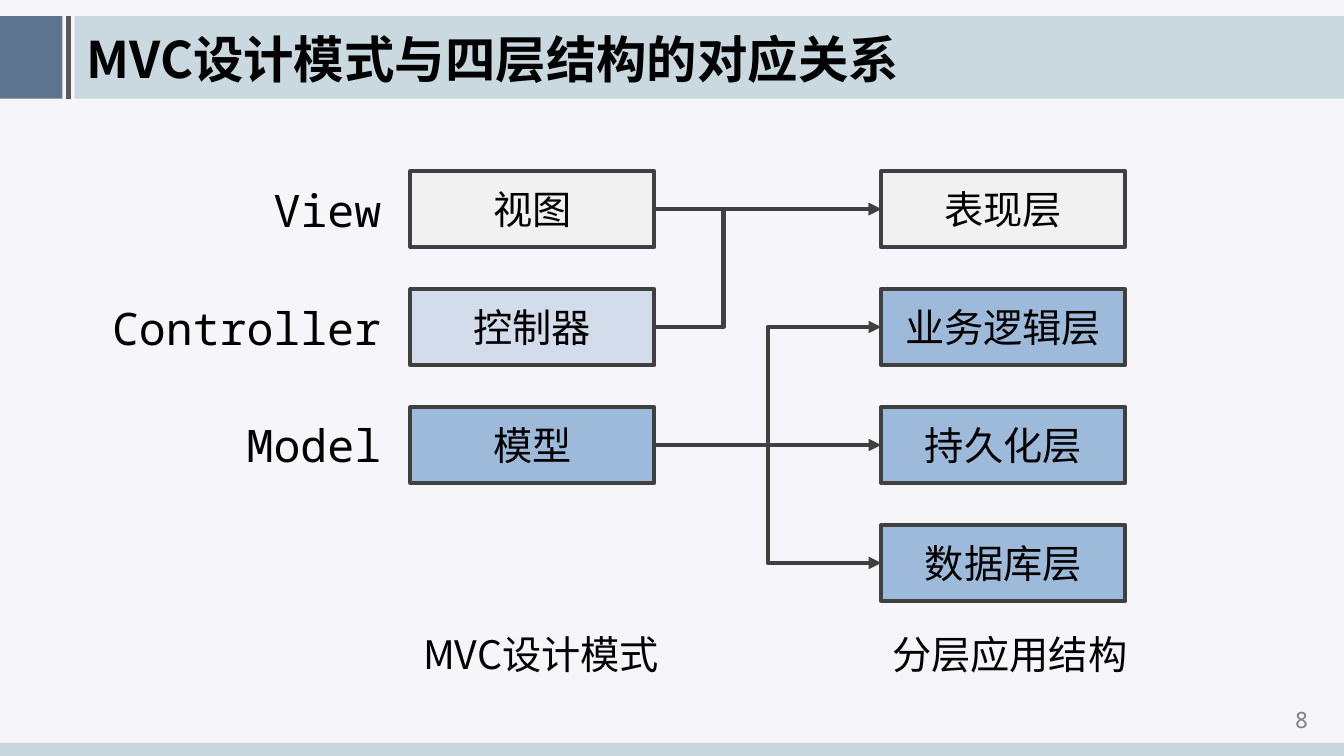
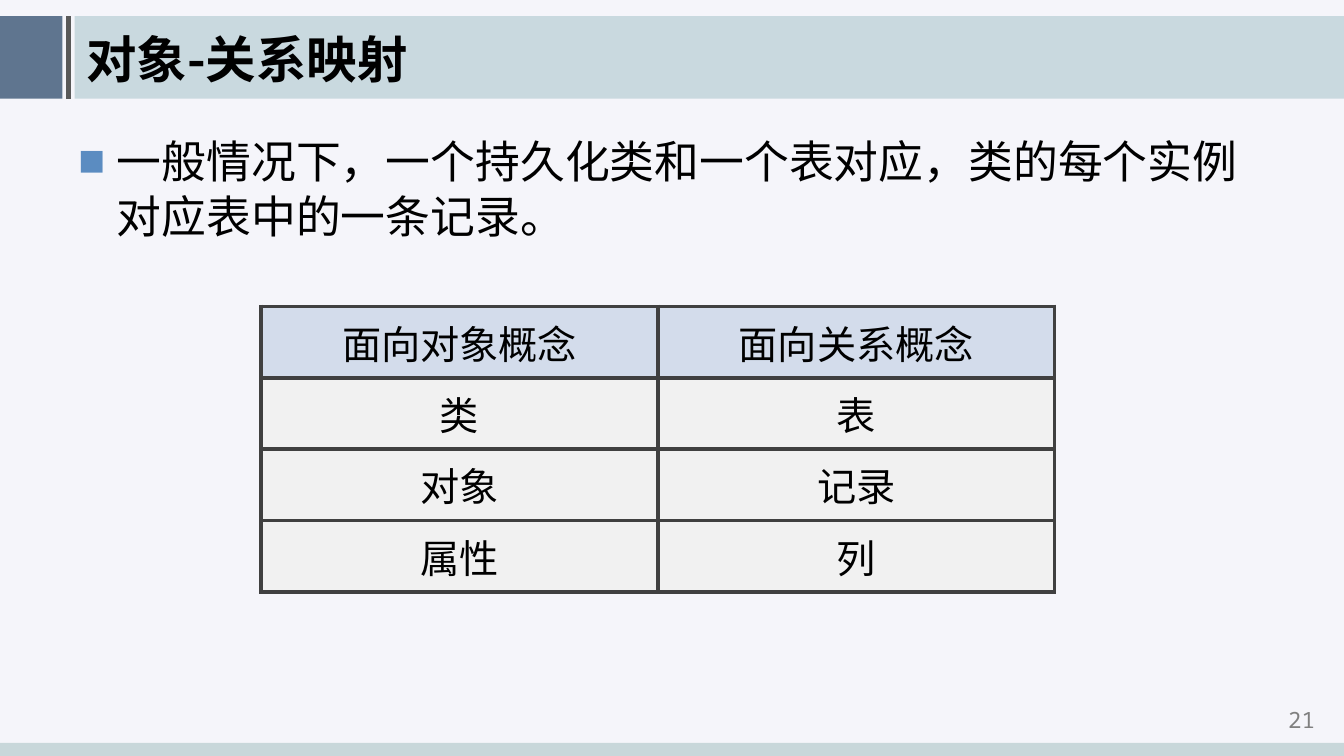
from lxml import etree
from pptx import Presentation
from pptx.dml.color import RGBColor
from pptx.enum.shapes import MSO_CONNECTOR, MSO_SHAPE
from pptx.enum.text import MSO_ANCHOR, PP_ALIGN
from pptx.oxml.ns import qn
from pptx.util import Inches, Pt

RECT = MSO_SHAPE.RECTANGLE
STRAIGHT, ELBOW = MSO_CONNECTOR.STRAIGHT, MSO_CONNECTOR.ELBOW
LEFT, CENTER, RIGHT = PP_ALIGN.LEFT, PP_ALIGN.CENTER, PP_ALIGN.RIGHT
TOP, MIDDLE = MSO_ANCHOR.TOP, MSO_ANCHOR.MIDDLE

# Shared look
SLIDE_W, SLIDE_H = 13.33, 7.5
SANS, MONO = "Noto Sans CJK SC", "Noto Sans Mono"
BLACK, GREY, INK = "000000", "808080", "404040"
BACKGROUND, FOOTER, RULE = "F5F5FA", "C8D7DA", "595959"
TAB, BAND, BULLET = "204062", "6699A1", "5B8CC1"
PALE, LIGHT, BLUE = "F1F1F1", "D3DCEB", "9DBADA"
STROKE = 3
TITLE = {"size": 36, "bold": True}
LABEL = {"size": 28}
BODY = {"size": 32}
ENGLISH = {"size": 32, "name": MONO}
PAGE = {"size": 16, "name": MONO, "color": GREY}

# Header band
BAND_TOP, BAND_H = 0.16, 0.82
TAB_W, RULE_X, BAND_X = 0.62, 0.68, 0.74

# Diagram grid
BOX_W, BOX_H = 2.42, 0.75
GRID_TOP, ROW_STEP = 1.7, 1.17
PATTERN_X, LAYER_X = 4.07, 8.74
LABEL_W = 2.91
LEFT_SIDE, RIGHT_SIDE = 1, 3


def rgb(value):
    return RGBColor.from_string(value)


def add_xml(parent, tag, **attributes):
    return etree.SubElement(parent, qn(tag), attributes)


def write(frame, text, style, align=LEFT, anchor=MIDDLE, wrap=True):
    frame.word_wrap = wrap
    frame.vertical_anchor = anchor
    paragraph = frame.paragraphs[0]
    paragraph.alignment = align
    run = paragraph.add_run()
    run.text = text
    look = {"name": SANS, "color": BLACK, **style}
    run.font.color.rgb = rgb(look.pop("color"))
    look["size"] = Pt(look["size"])
    for key, value in look.items():
        setattr(run.font, key, value)
    add_xml(run.font._element, "a:ea", typeface=look["name"])
    return paragraph


def add_text(slide, area, text, style, **layout):
    box = slide.shapes.add_textbox(*map(Inches, area))
    return write(box.text_frame, text, style, **layout)


def add_block(slide, area, fill, opacity=100, outline=None):
    block = slide.shapes.add_shape(RECT, *map(Inches, area))
    block.shadow.inherit = False
    block.fill.solid()
    block.fill.fore_color.rgb = rgb(fill)
    if opacity < 100:
        tint = block.fill._xPr.find(".//" + qn("a:srgbClr"))
        add_xml(tint, "a:alpha", val=str(opacity * 1000))
    if outline:
        block.line.color.rgb = rgb(outline)
        block.line.width = Pt(STROKE)
    else:
        block.line.fill.background()
    return block


def add_line(slide, kind, color, points=(0, 0, 0, 0)):
    line = slide.shapes.add_connector(kind, *map(Inches, points))
    line.line.color.rgb = rgb(color)
    line.line.width = Pt(STROKE)
    add_xml(line._element.spPr, "a:effectLst")
    return line


def add_arrow(slide, source, target, kind=STRAIGHT, bend=None):
    arrow = add_line(slide, kind, INK)
    arrow.begin_connect(source, RIGHT_SIDE)
    arrow.end_connect(target, LEFT_SIDE)
    add_xml(arrow.line._get_or_add_ln(), "a:tailEnd", type="triangle")
    if bend is not None:
        guides = arrow._element.spPr.find(".//" + qn("a:avLst"))
        add_xml(guides, "a:gd", name="adj1", fmla=f"val {round(bend * 100000)}")


def add_frame(deck, title, page):
    """Slide with its background, header band, footer, number and title."""
    slide = deck.slides.add_slide(deck.slide_layouts[6])
    slide.background.fill.solid()
    slide.background.fill.fore_color.rgb = rgb(BACKGROUND)
    add_block(slide, (0, BAND_TOP, TAB_W, BAND_H), TAB, 70)
    add_line(slide, STRAIGHT, RULE, (RULE_X, BAND_TOP + BAND_H, RULE_X, BAND_TOP))
    add_block(slide, (BAND_X, BAND_TOP, SLIDE_W - BAND_X, BAND_H), BAND, 30)
    add_block(slide, (0, 7.37, SLIDE_W, 0.13), FOOTER)
    add_text(slide, (12.49, 6.96, 0.84, 0.31), page, PAGE, align=CENTER, anchor=TOP)
    add_text(slide, (0.76, 0.21, 11.54, 0.73), title, TITLE)
    return slide


def add_stack(slide, x, entries):
    """Column of equal boxes, one per grid row."""
    boxes = []
    for row, (text, fill) in enumerate(entries):
        area = (x, GRID_TOP + row * ROW_STEP, BOX_W, BOX_H)
        box = add_block(slide, area, fill, outline=INK)
        write(box.text_frame, text, LABEL, align=CENTER, wrap=False)
        boxes.append(box)
    return boxes


def add_grid(slide, area, rows):
    """Table with a tinted header row and even borders."""
    table = slide.shapes.add_table(len(rows), len(rows[0]), *map(Inches, area)).table
    table.horz_banding = False
    for r, texts in enumerate(rows):
        for c, text in enumerate(texts):
            cell = table.cell(r, c)
            cell.fill.solid()
            cell.fill.fore_color.rgb = rgb(PALE if r else LIGHT)
            write(cell.text_frame, text, LABEL, align=CENTER)
            cell.vertical_anchor = MIDDLE
            add_borders(cell)


def add_borders(cell):
    props = cell._tc.get_or_add_tcPr()
    for place, side in enumerate(("a:lnL", "a:lnR", "a:lnT", "a:lnB")):
        border = add_xml(props, side, w=str(Pt(STROKE)))
        add_xml(add_xml(border, "a:solidFill"), "a:srgbClr", val=INK)
        props.insert(place, border)


def add_bullet(paragraph, indent):
    props = paragraph._p.get_or_add_pPr()
    props.set("marL", str(Inches(indent)))
    props.set("indent", str(-Inches(indent)))
    add_xml(add_xml(props, "a:buClr"), "a:srgbClr", val=BULLET)
    add_xml(props, "a:buFont", typeface=MONO)
    add_xml(props, "a:buChar", char="■")


def build_mvc(deck):
    slide = add_frame(deck, "MVC设计模式与四层结构的对应关系", "8")
    view, controller, model = add_stack(
        slide, PATTERN_X, [("视图", PALE), ("控制器", LIGHT), ("模型", BLUE)])
    presentation, logic, persistence, database = add_stack(
        slide, LAYER_X, [("表现层", PALE), ("业务逻辑层", BLUE),
                         ("持久化层", BLUE), ("数据库层", BLUE)])
    # Which part of the pattern maps to which layer
    add_arrow(slide, view, presentation)
    add_arrow(slide, model, persistence)
    add_arrow(slide, model, database, ELBOW, 0.5)
    add_arrow(slide, model, logic, ELBOW, 0.5)
    add_arrow(slide, controller, presentation, ELBOW, 0.305)
    # Captions under the columns, English names beside the rows
    for x, caption in ((3.91, "MVC设计模式"), (8.56, "分层应用结构")):
        add_text(slide, (x, 6.2, LABEL_W, 0.57), caption, LABEL, align=CENTER)
    for row, name in enumerate(("View", "Controller", "Model")):
        area = (0.97, GRID_TOP + row * ROW_STEP, LABEL_W, BOX_H)
        add_text(slide, area, name, ENGLISH, align=RIGHT)


def build_mapping(deck):
    slide = add_frame(deck, "对象-关系映射", "21")
    add_grid(slide, (2.59, 3.04, 7.87, 2.83), [
        ("面向对象概念", "面向关系概念"),
        ("类", "表"),
        ("对象", "记录"),
        ("属性", "列"),
    ])
    statement = add_text(
        slide, (0.68, 1.27, 11.97, 1.34),
        "一般情况下，一个持久化类和一个表对应，类的每个实例对应表中的一条记录。",
        BODY, anchor=TOP)
    statement.line_spacing = 1.02
    add_bullet(statement, 0.38)


def main():
    deck = Presentation()
    deck.slide_width, deck.slide_height = Inches(SLIDE_W), Inches(SLIDE_H)
    build_mvc(deck)
    build_mapping(deck)
    deck.save("out.pptx")


main()
